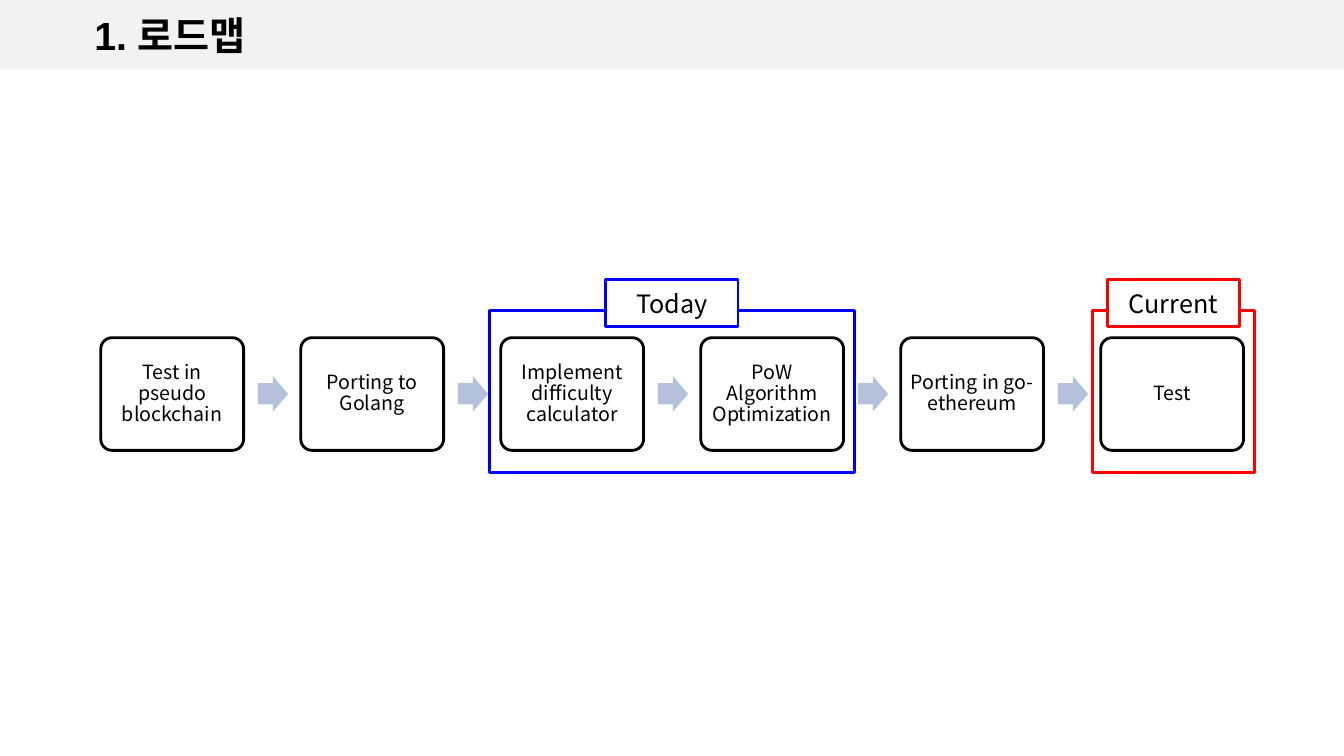
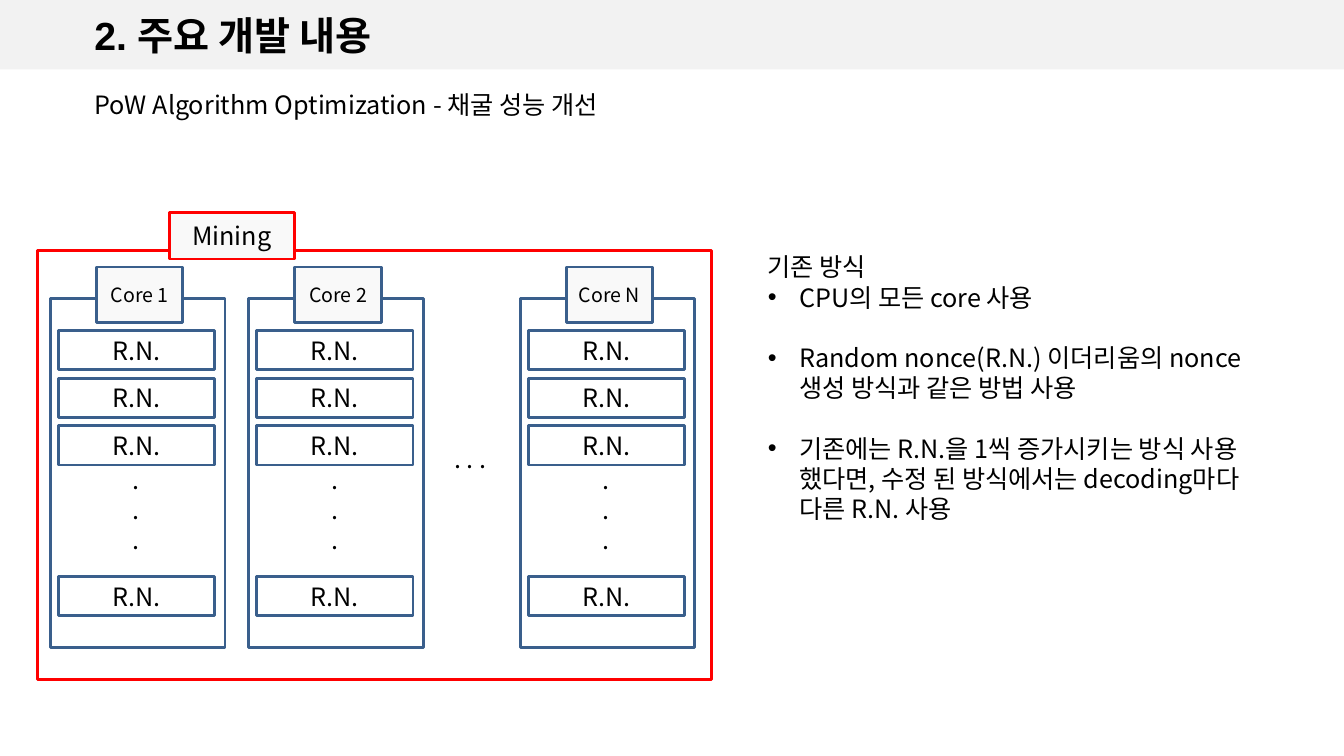
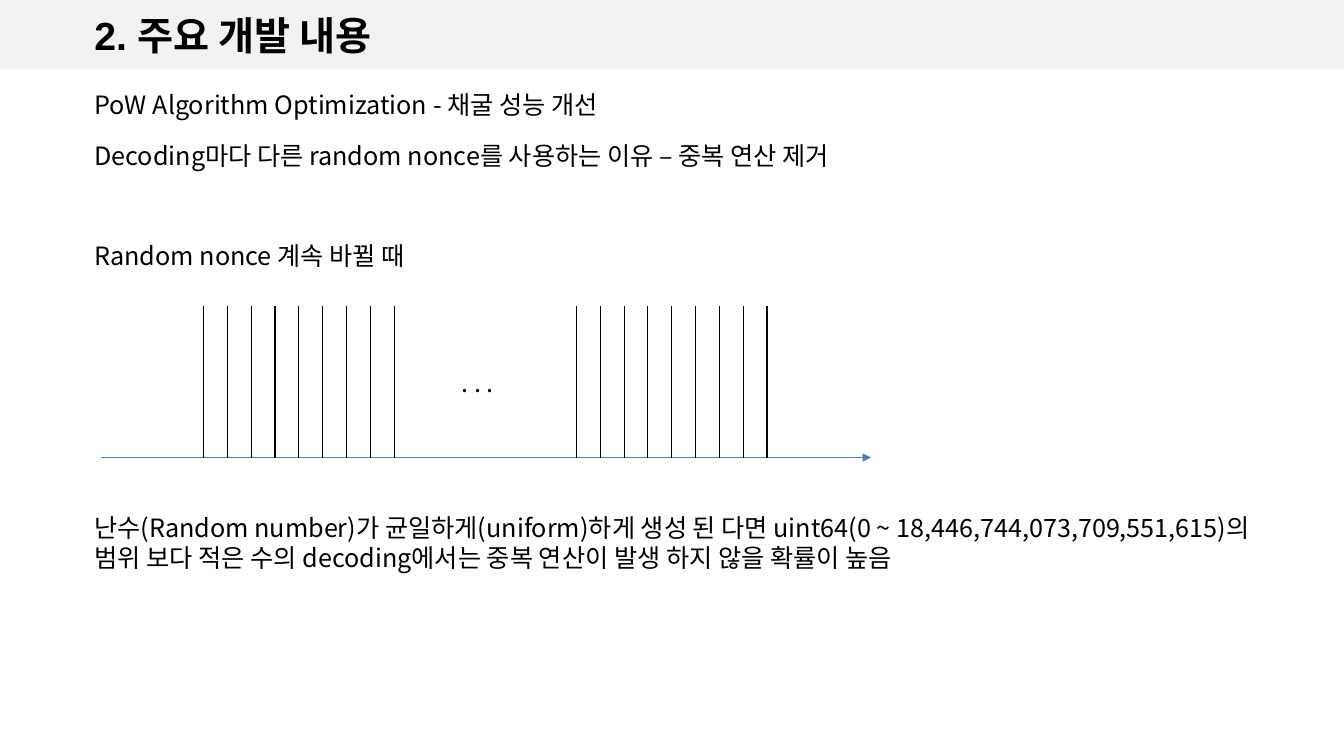
from lxml import etree
from pptx import Presentation
from pptx.dml.color import RGBColor
from pptx.enum.shapes import MSO_CONNECTOR, MSO_SHAPE
from pptx.enum.text import MSO_ANCHOR, PP_ALIGN
from pptx.oxml.ns import qn
from pptx.util import Cm, Pt

RECT = MSO_SHAPE.RECTANGLE
ROUNDED = MSO_SHAPE.ROUNDED_RECTANGLE
ARROW = MSO_SHAPE.RIGHT_ARROW
STRAIGHT = MSO_CONNECTOR.STRAIGHT
LEFT, CENTER = PP_ALIGN.LEFT, PP_ALIGN.CENTER
TOP, MIDDLE = MSO_ANCHOR.TOP, MSO_ANCHOR.MIDDLE

BODY_FONT, TITLE_FONT = "Noto Sans CJK KR", "Arial"
BLACK, WHITE, RED, BLUE = "000000", "FFFFFF", "FF0000", "0000FF"
BAND, LABEL, NAVY = "F2F2F2", "F9F9F9", "3A5F8C"
ARROW_FILL, AXIS = "B3C1DB", "4B7EBC"


def add_box(page, left, top, width, height, text="", kind=None, fill=None, line=None,
            size=18, font=BODY_FONT, bold=False, align=LEFT, anchor=TOP, spacing=None):
    place = Cm(left), Cm(top), Cm(width), Cm(height)
    if kind is None:
        box = page.shapes.add_textbox(*place)
    else:
        box = page.shapes.add_shape(kind, *place)
        box.shadow.inherit = False
        if fill:
            box.fill.solid()
            box.fill.fore_color.rgb = RGBColor.from_string(fill)
        else:
            box.fill.background()
        if line:
            box.line.color.rgb = RGBColor.from_string(line)
            box.line.width = Pt(2)
        else:
            box.line.fill.background()
    frame = box.text_frame
    frame.word_wrap = True
    frame.vertical_anchor = anchor
    if text:
        frame.text = text
        for para in frame.paragraphs:
            para.alignment = align
            para.line_spacing = spacing
            for span in para.runs:
                span.font.size = Pt(size)
                span.font.bold = bold
                span.font.name = font
                span.font.color.rgb = RGBColor.from_string(BLACK)
                etree.SubElement(span.font._element, qn("a:ea"), typeface=BODY_FONT)
    return box


def add_line(page, start_x, start_y, end_x, end_y, color):
    line = page.shapes.add_connector(STRAIGHT, Cm(start_x), Cm(start_y), Cm(end_x), Cm(end_y))
    line.line.color.rgb = RGBColor.from_string(color)
    line.line.width = Pt(0.75)
    etree.SubElement(line._element.spPr, qn("a:effectLst"))
    return line


deck = Presentation()
deck.slide_width = Cm(33.87)
deck.slide_height = Cm(19.05)
blank = deck.slide_layouts[6]

pages = []
for title in ("1. 로드맵", "2. 주요 개발 내용", "2. 주요 개발 내용"):
    page = deck.slides.add_slide(blank)
    add_box(page, 0, 0, 33.87, 1.75, kind=RECT, fill=BAND)
    add_box(page, 2.13, 0, 24.77, 1.75, title, size=28, font=TITLE_FONT, bold=True, anchor=MIDDLE)
    pages.append(page)
roadmap, mining, nonces = pages

for page in (mining, nonces):
    add_box(page, 2.13, 2.13, 18, 1.8, "PoW Algorithm Optimization - 채굴 성능 개선")

steps = ("Test in pseudo blockchain", "Porting to Golang", "Implement difficulty calculator",
         "PoW Algorithm Optimization", "Porting in go-ethereum", "Test")
for index, step in enumerate(steps):
    left = 2.54 + index * 5.04
    if index:
        arrow = add_box(roadmap, left - 1.08, 9.48, 0.76, 0.89, kind=ARROW, fill=ARROW_FILL)
        arrow.adjustments[0] = 0.6
    card = add_box(roadmap, left, 8.51, 3.6, 2.84, step, kind=ROUNDED, line=BLACK,
                   size=14, align=CENTER, anchor=MIDDLE, spacing=0.9)
    card.adjustments[0] = 0.1
    card.text_frame.margin_left = card.text_frame.margin_right = Cm(0.15)

for label, left, width, color in (("Current", 27.53, 4.09, RED), ("Today", 12.34, 9.19, BLUE)):
    add_box(roadmap, left, 7.82, width, 4.09, kind=RECT, line=color)
    add_box(roadmap, left + (width - 3.33) / 2, 7.04, 3.33, 1.19, label, kind=RECT,
            fill=WHITE, line=color, align=CENTER, anchor=MIDDLE)

for core, left in (("Core 1", 1.27), ("Core 2", 6.27), ("Core N", 13.11)):
    add_box(mining, left, 7.52, 4.4, 8.79, kind=RECT, line=NAVY)
    add_box(mining, left + 1.16, 6.73, 2.18, 1.4, core, kind=RECT, fill=LABEL, line=NAVY,
            size=14, align=CENTER, anchor=MIDDLE)
    for top in (8.33, 9.53, 10.73, 14.53):
        add_box(mining, left + 0.2, top, 3.94, 0.99, "R.N.", kind=RECT, line=NAVY,
                align=CENTER, anchor=MIDDLE)
    add_box(mining, left + 0.2, 11.54, 3.94, 2.6, ".\n.\n.", align=CENTER, anchor=MIDDLE)
add_box(mining, 9.88, 11.04, 3.94, 1, ". . .", align=CENTER, anchor=MIDDLE)
add_box(mining, 0.94, 6.32, 16.99, 10.8, kind=RECT, line=RED)
add_box(mining, 4.27, 5.36, 3.15, 1.17, "Mining", kind=RECT, fill=LABEL, line=RED,
        align=CENTER, anchor=MIDDLE)

method = "\n".join((
    "기존 방식",
    "CPU의 모든 core 사용",
    "Random nonce(R.N.) 이더리움의 nonce 생성 방식과 같은 방법 사용",
    "기존에는 R.N.을 1씩 증가시키는 방식 사용 했다면, 수정 된 방식에서는 decoding마다 다른 R.N. 사용",
))
notes = add_box(mining, 19.1, 6.22, 13.56, 7.95, method)
for para in notes.text_frame.paragraphs[1:]:
    para.space_after = Pt(21.5)
    properties = para._p.get_or_add_pPr()
    properties.set("marL", str(Cm(0.79)))
    properties.set("indent", str(-Cm(0.79)))
    etree.SubElement(properties, qn("a:buFont"), typeface="Arial")
    etree.SubElement(properties, qn("a:buChar"), char="•")

add_box(nonces, 2.13, 3.4, 25.4, 1.02, "Decoding마다 다른 random nonce를 사용하는 이유 – 중복 연산 제거")
add_box(nonces, 2.13, 5.94, 25.4, 1.02, "Random nonce 계속 바뀔 때")
axis = add_line(nonces, 2.54, 11.53, 21.95, 11.53, AXIS)
etree.SubElement(axis.line._get_or_add_ln(), qn("a:tailEnd"), type="triangle")
for first in (5.13, 14.53):
    for index in range(9):
        tick = first + index * 0.6
        add_line(nonces, tick, 7.72, tick, 11.53, BLACK)
add_box(nonces, 11.38, 9.12, 1.8, 1.02, ". . .")
add_box(nonces, 2.13, 12.78, 30.4, 1.8,
        "난수(Random number)가 균일하게(uniform)하게 생성 된 다면 "
        "uint64(0 ~ 18,446,744,073,709,551,615)의 범위 보다 적은 수의 "
        "decoding에서는 중복 연산이 발생 하지 않을 확률이 높음")

deck.save("out.pptx")
